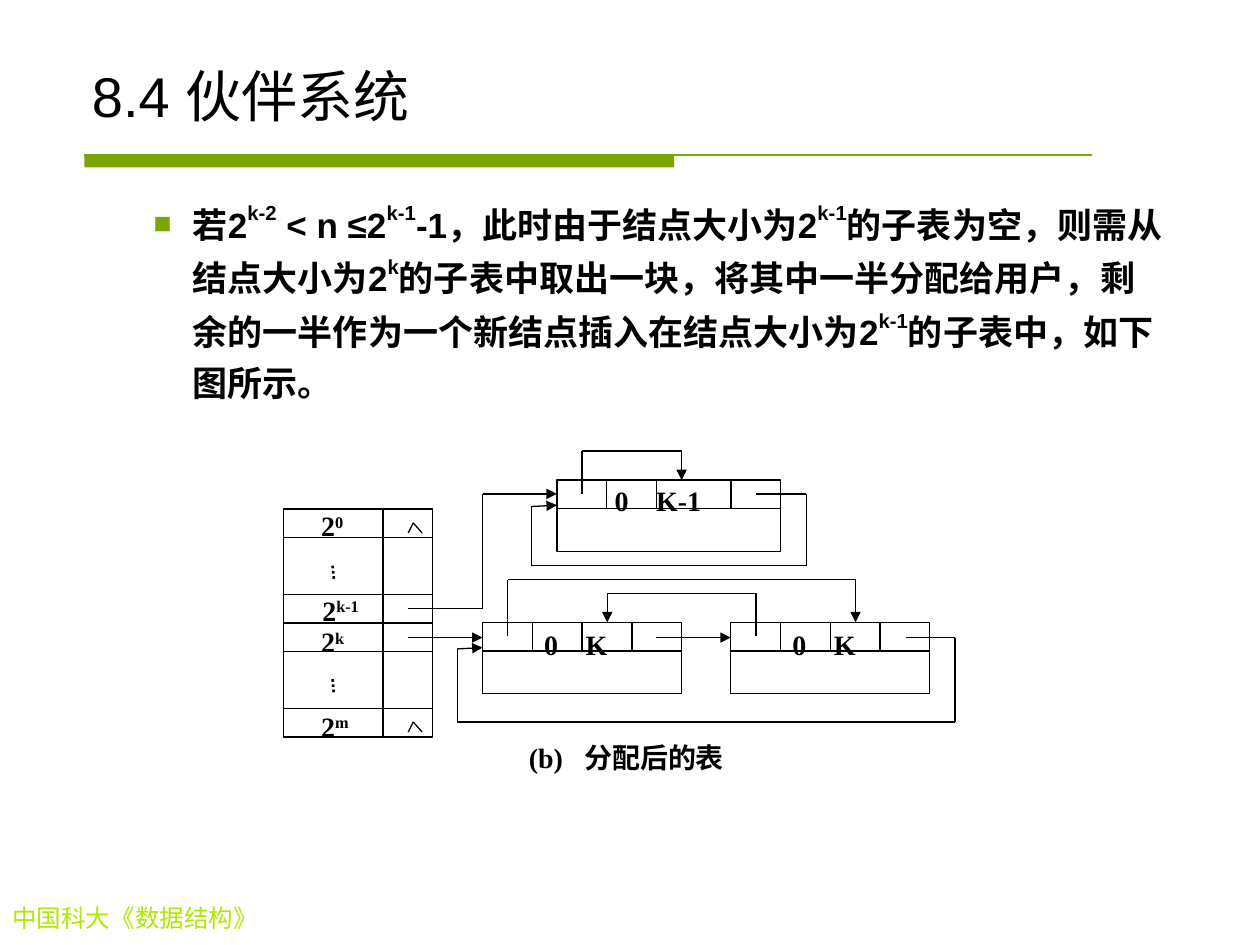
from itertools import accumulate, pairwise

from lxml.etree import SubElement
from pptx import Presentation
from pptx.dml.color import RGBColor
from pptx.enum.dml import MSO_LINE
from pptx.enum.shapes import MSO_CONNECTOR, MSO_SHAPE
from pptx.enum.text import MSO_ANCHOR, MSO_AUTO_SIZE, PP_ALIGN
from pptx.oxml.ns import qn
from pptx.util import Inches, Pt

BLACK = RGBColor(0x00, 0x00, 0x00)
WHITE = RGBColor(0xFF, 0xFF, 0xFF)
GREEN = RGBColor(0x7B, 0xA6, 0x00)
LIME = RGBColor(0xAD, 0xEA, 0x00)
CJK = "Noto Sans CJK SC"

TITLE = ["8.4 伙伴系统"]
EXPLANATION = [
    "若2", "k-2", " < n ≤2", "k-1", "-1，此时由于结点大小为2", "k-1",
    "的子表为空，则需从结点大小为2", "k",
    "的子表中取出一块，将其中一半分配给用户，剩余的一半作为一个新结点插入在结点大小为2",
    "k-1", "的子表中，如下图所示。",
]
FOOTER = ["中国科大《数据结构》"]

TITLE_FORMAT = dict(size=Pt(32), name="Arial", color=BLACK)
BODY_FORMAT = dict(size=Pt(20), name="Arial", bold=True, color=BLACK)
LABEL_FORMAT = dict(size=Pt(16), name="Times New Roman", bold=True, color=BLACK)
FOOTER_FORMAT = dict(size=Pt(14), name="Times New Roman", color=LIME)

ROW = 1.81 / 8
COL = 1.58 / 4
INDEX_LEFT, INDEX_TOP = 2.25, 4.04
INDEX_ROWS = [1, 2, 1, 1, 2, 1]
INDEX_COLUMNS = [2, 1]
NODES = [
    (3.83, 4.94, [1, 1, 1, 1]),
    (5.8, 4.94, [1, 1, 1, 1]),
    (4.42, 3.81, [1, 1, 1.5, 1]),
]

PLAIN_ROUTES = [
    [(3.24, 4.23), (3.28, 4.15), (3.35, 4.23)],
    [(3.24, 5.81), (3.28, 5.73), (3.35, 5.81)],
]
ARROW_ROUTES = [
    [(3.24, 5.06), (3.83, 5.06)],
    [(5.21, 5.06), (5.8, 5.06)],
    [(4.03, 5.05), (4.03, 4.6), (6.79, 4.6), (6.79, 4.94)],
    [(6, 5.05), (6, 4.71), (4.82, 4.71), (4.82, 4.94)],
    [(7.19, 5.06), (7.58, 5.06), (7.58, 5.73), (3.63, 5.73), (3.63, 5.15), (3.83, 5.14)],
    [(3.24, 4.83), (3.83, 4.83), (3.83, 3.92), (4.42, 3.92)],
    [(6, 3.92), (6.4, 3.92), (6.4, 4.49), (4.22, 4.49), (4.22, 4.02), (4.42, 4.01)],
    [(4.62, 3.92), (4.62, 3.58), (5.41, 3.58), (5.41, 3.81)],
]
ELLIPSES = [[(2.64, 4.49), (2.65, 4.6)], [(2.64, 5.39), (2.65, 5.51)]]

LABELS = [
    (2.45, 3.99, 0.5, ["2", "0"], None),
    (2.46, 4.66, 0.6, ["2", "k-1"], None),
    (2.45, 4.91, 0.5, ["2", "k"], None),
    (2.45, 5.58, 0.5, ["2", "m"], None),
    (4.22, 4.93, 0.8, ["0\tK"], 0.33),
    (6.19, 4.93, 0.8, ["0\tK"], 0.33),
    (4.78, 3.79, 1, ["0\tK-1"], 0.33),
    (4.1, 5.83, 2, ["(b)\t分配后的表"], 0.44),
]


def write(paragraph, parts, formats, raised=30):
    for position, part in enumerate(parts):
        run = paragraph.add_run()
        run.text = part
        for attribute, value in formats.items():
            if attribute == "color":
                run.font.color.rgb = value
            else:
                setattr(run.font, attribute, value)
        properties = run._r.get_or_add_rPr()
        SubElement(properties, qn("a:ea"), typeface=CJK)
        if position % 2:
            properties.set("baseline", str(raised * 1000))


def place(shape, left, top, width, height):
    shape.left, shape.top = Inches(left), Inches(top)
    shape.width, shape.height = Inches(width), Inches(height)


def add_label(slide, left, top, width, height, parts, formats, tab=None):
    label = slide.shapes.add_textbox(
        Inches(left), Inches(top), Inches(width), Inches(height))
    frame = label.text_frame
    frame.word_wrap = True
    frame.auto_size = MSO_AUTO_SIZE.SHAPE_TO_FIT_TEXT
    paragraph = frame.paragraphs[0]
    if tab:
        tabs = SubElement(paragraph._p.get_or_add_pPr(), qn("a:tabLst"))
        SubElement(tabs, qn("a:tab"), pos=str(Inches(tab)), algn="l")
    write(paragraph, parts, formats)


def add_box(slide, left, top, width, height, fill=WHITE, outline=BLACK):
    box = slide.shapes.add_shape(
        MSO_SHAPE.RECTANGLE, Inches(left), Inches(top), Inches(width), Inches(height))
    box.shadow.inherit = False
    box.fill.solid()
    box.fill.fore_color.rgb = fill
    if outline is None:
        box.line.fill.background()
    else:
        box.line.color.rgb = outline
        box.line.width = Pt(0.75)


def add_cells(slide, left, top, widths, height):
    starts = accumulate(widths, initial=0)
    for start, width in zip(starts, widths):
        add_box(slide, left + start * COL, top, width * COL, height)


def add_route(slide, points, arrow=False, color=BLACK, width=0.75, dash=None):
    for start, end in pairwise(points):
        segment = slide.shapes.add_connector(
            MSO_CONNECTOR.STRAIGHT, *map(Inches, start + end))
        segment.line.color.rgb = color
        segment.line.width = Pt(width)
        if dash:
            segment.line.dash_style = dash
        SubElement(segment._element.spPr, qn("a:effectLst"))
    if arrow:
        outline = segment._element.spPr.get_or_add_ln()
        SubElement(outline, qn("a:tailEnd"), type="triangle")


def add_heading(slide):
    title = slide.shapes.title
    place(title, 0.63, 0.33, 8.75, 0.74)
    title.text_frame.vertical_anchor = MSO_ANCHOR.BOTTOM
    title.text_frame.auto_size = MSO_AUTO_SIZE.NONE
    heading = title.text_frame.paragraphs[0]
    heading.alignment = PP_ALIGN.LEFT
    write(heading, TITLE, TITLE_FORMAT)


def add_explanation(slide):
    body = slide.placeholders[1]
    place(body, 0.62, 1.47, 8.75, 1.87)
    body.text_frame.auto_size = MSO_AUTO_SIZE.NONE
    item = body.text_frame.paragraphs[0]
    item.level = 1
    item.line_spacing = 1.2
    item.space_before = Pt(0)
    properties = item._p.get_or_add_pPr()
    properties.set("marL", str(Inches(0.81)))
    properties.set("indent", str(Inches(-0.31)))
    bullet_color = SubElement(properties, qn("a:buClr"))
    SubElement(bullet_color, qn("a:srgbClr"), val=str(GREEN))
    SubElement(properties, qn("a:buSzPct"), val="85000")
    SubElement(properties, qn("a:buFont"), typeface="Arial")
    SubElement(properties, qn("a:buChar"), char="■")
    write(item, EXPLANATION, BODY_FORMAT, raised=50)


def add_diagram(slide):
    row_starts = accumulate(INDEX_ROWS, initial=0)
    for start, rows in zip(row_starts, INDEX_ROWS):
        add_cells(slide, INDEX_LEFT, INDEX_TOP + start * ROW, INDEX_COLUMNS, rows * ROW)
    for left, top, widths in NODES:
        add_cells(slide, left, top, widths, ROW)
        add_cells(slide, left, top + ROW, [sum(widths)], 1.5 * ROW)
    for points in PLAIN_ROUTES:
        add_route(slide, points)
    for points in ARROW_ROUTES:
        add_route(slide, points, arrow=True)
    for points in ELLIPSES:
        add_route(slide, points, width=1.5, dash=MSO_LINE.ROUND_DOT)
    for left, top, width, parts, tab in LABELS:
        add_label(slide, left, top, width, 0.37, parts, LABEL_FORMAT, tab)


def main():
    deck = Presentation()
    deck.slide_width, deck.slide_height = Inches(10), Inches(7.5)
    slide = deck.slides.add_slide(deck.slide_layouts[1])
    add_box(slide, 0.67, 1.23, 4.68, 0.1, fill=GREEN, outline=None)
    add_route(slide, [(0.67, 1.23), (8.67, 1.23)], color=GREEN)
    add_label(slide, 0, 7.12, 3.11, 0.34, FOOTER, FOOTER_FORMAT)
    add_heading(slide)
    add_explanation(slide)
    add_diagram(slide)
    deck.save("out.pptx")


if __name__ == "__main__":
    main()
